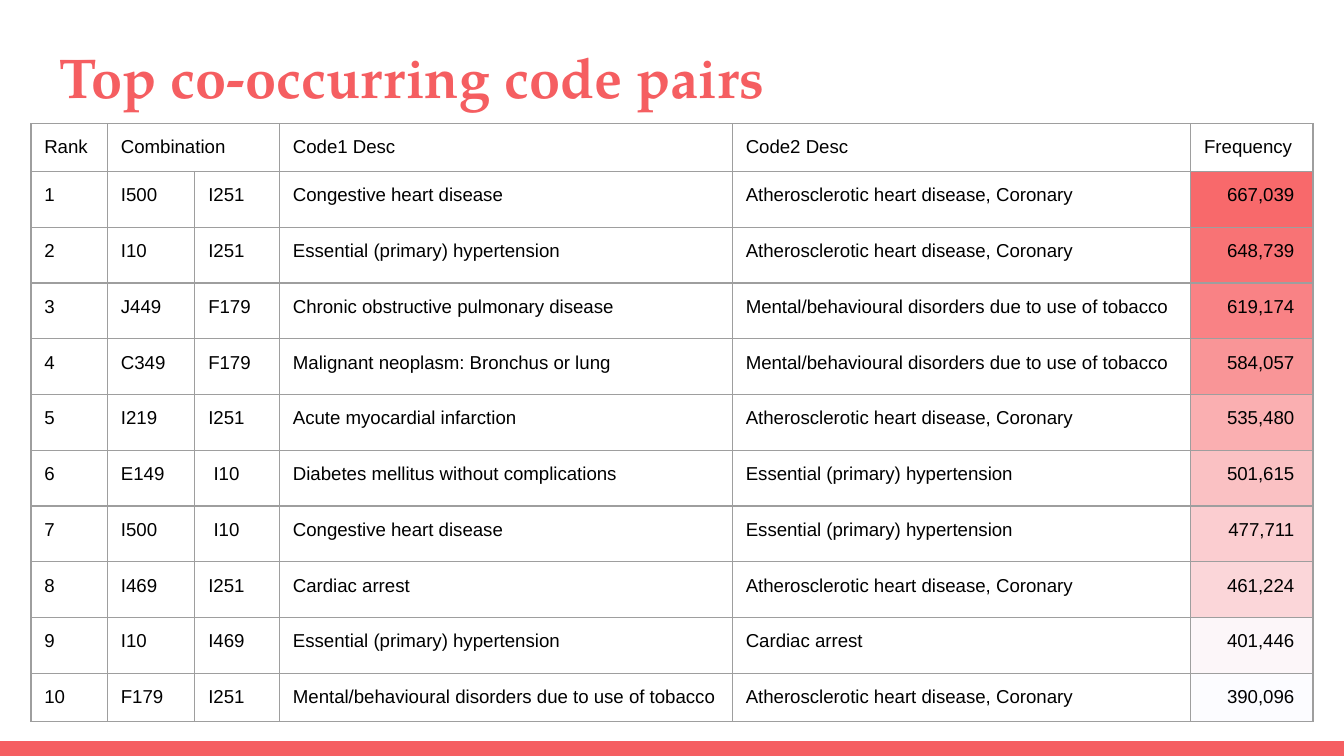
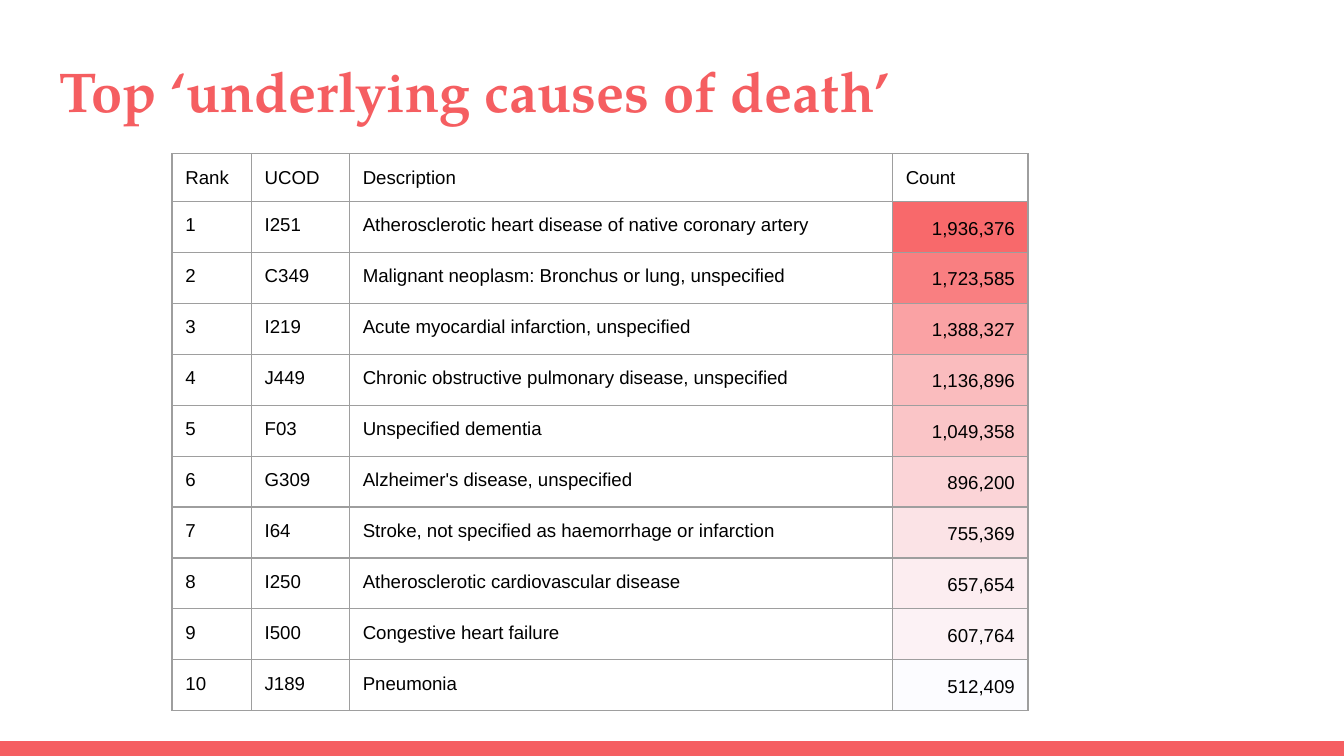
from lxml import etree
from pptx import Presentation
from pptx import util as u
from pptx.dml import color
from pptx.enum import shapes, text
from pptx.oxml import ns

PX = 4572  # EMU per px, 200 px to the inch
WIDE, HIGH = 2000, 1125
CORAL, INK, GRID = "F55E61", "000000", "9E9E9E"
HOT, COLD = "F8696B", "FCFCFF"
SERIF, SANS = "TeX Gyre Pagella", "Arial"
INSET = 20


def px(num):
    return u.Emu(num * PX)


def rgb(code):
    return color.RGBColor.from_string(code)


def heat(val, low, high):
    """Blend from COLD to HOT by where val lies between low and high."""
    part = (val - low) / (high - low)
    ends = zip(bytes.fromhex(COLD), bytes.fromhex(HOT))
    return "".join(f"{round(a + (b - a) * part):02X}" for a, b in ends)


class Deck:
    def __init__(self):
        self.prs = Presentation()
        self.prs.slide_width, self.prs.slide_height = px(WIDE), px(HIGH)
        self.slide = None

    # New slide with its footer band and title
    def page(self, title, top):
        self.slide = self.prs.slides.add_slide(self.prs.slide_layouts[5])
        self.band(0, 1103, WIDE, 22)
        self.title(title, top)

    def band(self, left, top, width, height):
        bar = self.slide.shapes.add_shape(
            shapes.MSO_SHAPE.RECTANGLE, px(left), px(top), px(width), px(height))
        bar.shadow.inherit = False
        bar.fill.solid()
        bar.fill.fore_color.rgb = rgb(CORAL)
        bar.line.fill.background()

    def title(self, words, top):
        head = self.slide.shapes.title
        head.left, head.top = px(68), px(top)
        head.width, head.height = px(1864), px(136)
        frame = head.text_frame
        frame.text = words
        frame.word_wrap = True
        frame.auto_size = text.MSO_AUTO_SIZE.NONE
        frame.vertical_anchor = text.MSO_ANCHOR.TOP
        self.inset(frame)
        self.style(frame.paragraphs[0], SERIF, 30, CORAL, True)

    def inset(self, box, left=INSET, right=INSET):
        box.margin_left, box.margin_right = px(left), px(right)
        box.margin_top = box.margin_bottom = px(INSET)

    def style(self, para, face, size, ink, bold=False, side=text.PP_ALIGN.LEFT):
        para.alignment = side
        for run in para.runs:
            run.font.name, run.font.size = face, u.Pt(size)
            run.font.bold, run.font.color.rgb = bold, rgb(ink)

    # Table whose last column is numeric and shaded as a heat map
    def table(self, box, cols, tall, head, rows, pad=INSET, lead=None, shift=()):
        """shift lists the (row, column) cells that are indented to pad."""
        frame = self.slide.shapes.add_table(
            len(rows) + 1, len(cols), *map(px, box))
        grid = frame.table
        grid.first_row = grid.horz_banding = False
        for col, wide in zip(grid.columns, cols):
            col.width = px(wide)
        for row, high in zip(grid.rows, tall):
            row.height = px(high)
        frame.height = px(box[3])

        for c, word in enumerate(head):
            self.cell(grid.cell(0, c), word)
        nums = [row[-1] for row in rows]
        for r, row in enumerate(rows, 1):
            for c, word in enumerate((str(r), *row[:-1])):
                left = pad if (r, c) in shift else INSET
                self.cell(grid.cell(r, c), word, left=left)
            fill = heat(row[-1], min(nums), max(nums))
            last = grid.cell(r, len(cols) - 1)
            self.cell(last, f"{row[-1]:,}", fill, text.PP_ALIGN.RIGHT, right=pad)
            last.text_frame.paragraphs[0].line_spacing = lead
        return grid

    def cell(self, cell, word, fill=None, side=text.PP_ALIGN.LEFT,
             left=INSET, right=INSET):
        cell.text_frame.text = word
        cell.vertical_anchor = text.MSO_ANCHOR.TOP
        self.inset(cell, left, right)
        self.style(cell.text_frame.paragraphs[0], SANS, 10, INK, side=side)
        if fill:
            cell.fill.solid()
            cell.fill.fore_color.rgb = rgb(fill)
        else:
            cell.fill.background()
        self.edge(cell)

    def edge(self, cell):
        props = cell._tc.get_or_add_tcPr()
        for at, tag in enumerate(("a:lnL", "a:lnR", "a:lnT", "a:lnB")):
            line = etree.Element(ns.qn(tag), w=str(u.Pt(0.75)))
            solid = etree.SubElement(line, ns.qn("a:solidFill"))
            etree.SubElement(solid, ns.qn("a:srgbClr"), val=GRID)
            props.insert(at, line)


# Descriptions used more than once
CHF = "Congestive heart disease"
ATH = "Atherosclerotic heart disease, Coronary"
HYP = "Essential (primary) hypertension"
TOB = "Mental/behavioural disorders due to use of tobacco"
ARR = "Cardiac arrest"

PAIRS = [
    ("I500", "I251", CHF, ATH, 667039),
    ("I10", "I251", HYP, ATH, 648739),
    ("J449", "F179", "Chronic obstructive pulmonary disease", TOB, 619174),
    ("C349", "F179", "Malignant neoplasm: Bronchus or lung", TOB, 584057),
    ("I219", "I251", "Acute myocardial infarction", ATH, 535480),
    ("E149", "I10", "Diabetes mellitus without complications", HYP, 501615),
    ("I500", "I10", CHF, HYP, 477711),
    ("I469", "I251", ARR, ATH, 461224),
    ("I10", "I469", HYP, ARR, 401446),
    ("F179", "I251", TOB, ATH, 390096),
]

CAUSES = [
    ("I251", "Atherosclerotic heart disease of native coronary artery", 1936376),
    ("C349", "Malignant neoplasm: Bronchus or lung, unspecified", 1723585),
    ("I219", "Acute myocardial infarction, unspecified", 1388327),
    ("J449", "Chronic obstructive pulmonary disease, unspecified", 1136896),
    ("F03", "Unspecified dementia", 1049358),
    ("G309", "Alzheimer's disease, unspecified", 896200),
    ("I64", "Stroke, not specified as haemorrhage or infarction", 755369),
    ("I250", "Atherosclerotic cardiovascular disease", 657654),
    ("I500", "Congestive heart failure", 607764),
    ("J189", "Pneumonia", 512409),
]


def main():
    deck = Deck()

    # Code pairs
    deck.page("Top co-occurring code pairs", 44)
    grid = deck.table(
        (46, 184, 1908, 896), (114, 130, 126, 674, 682, 182),
        [64] + [83] * 9 + [64],
        ("Rank", "Combination", "", "Code1 Desc", "Code2 Desc", "Frequency"),
        PAIRS, pad=28, shift=((6, 2), (7, 2)))
    grid.cell(0, 1).merge(grid.cell(0, 2))

    # Underlying causes
    deck.page("Top ‘underlying causes of death’", 64)
    deck.table(
        (256, 229, 1274, 856), (118, 146, 808, 202), [66] + [72] * 10,
        ("Rank", "UCOD", "Description", "Count"), CAUSES, lead=1.15)

    deck.prs.save("out.pptx")


if __name__ == "__main__":
    main()
